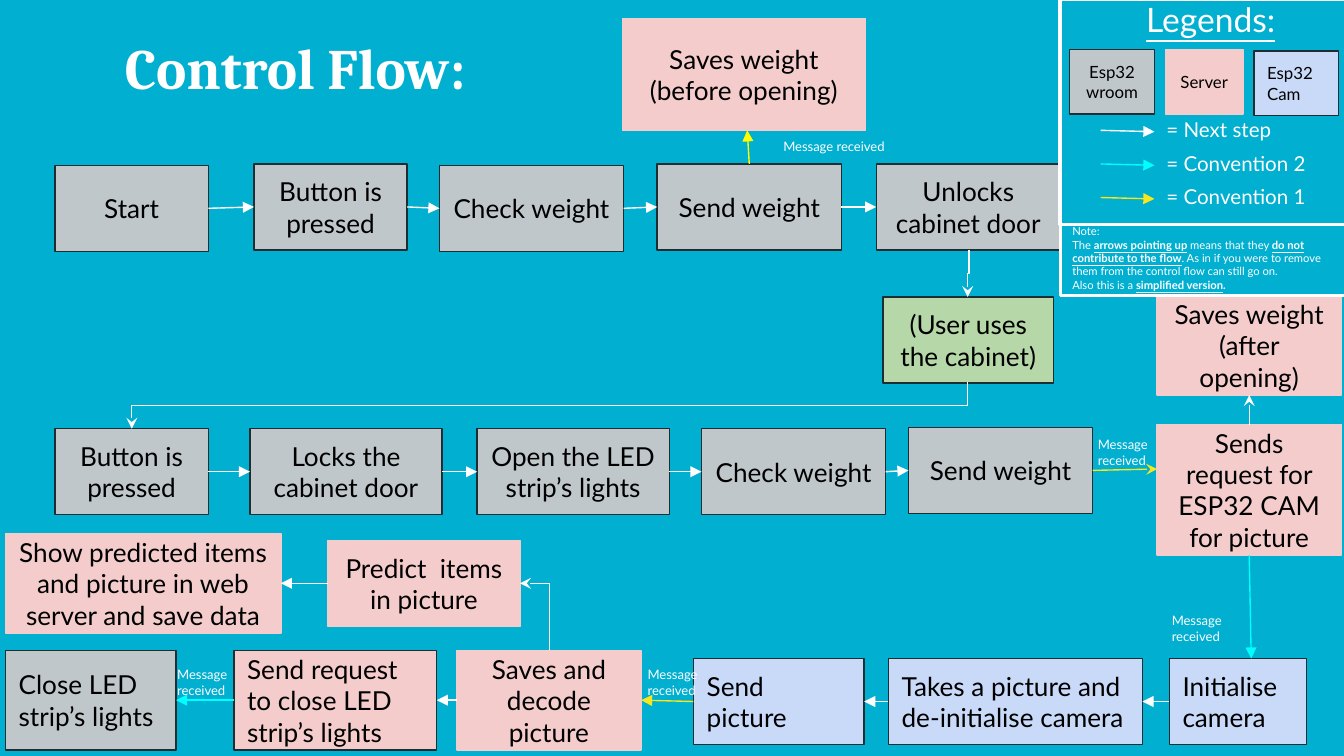
from lxml import etree
from pptx import Presentation
from pptx.dml.color import RGBColor
from pptx.enum.shapes import MSO_CONNECTOR, MSO_SHAPE
from pptx.enum.text import MSO_ANCHOR, MSO_AUTO_SIZE, PP_ALIGN
from pptx.oxml.ns import qn
from pptx.util import Inches, Pt

WHITE, BLACK, DARK = "FFFFFF", "000000", "1E2D31"
GREY, PINK, BLUE, GREEN = "BFC7CA", "F4CCCC", "C9DAF8", "B6D7A8"
YELLOW, GOLD, CYAN = "FFFF00", "F8E71C", "00FFFF"
color = RGBColor.from_string


def style_text(shape, size, ink, font="Lato"):
    frame = shape.text_frame
    frame.word_wrap = True
    frame.margin_left = frame.margin_right = Inches(0.1)
    frame.margin_top = frame.margin_bottom = Inches(0.1)
    for para in frame.paragraphs:
        for span in para.runs:
            span.font.name = font
            span.font.size = Pt(size)
            span.font.color.rgb = color(ink)


def style_arrow(arrow, ink, head="triangle"):
    arrow.line.color.rgb = color(ink)
    arrow.line.width = Pt(0.75)
    properties = arrow._element.spPr
    etree.SubElement(properties.get_or_add_ln(), qn("a:tailEnd"), type=head)
    etree.SubElement(properties, qn("a:effectLst"))


deck = Presentation()
deck.slide_width = Inches(10)
deck.slide_height = Inches(10) * 9 // 16
page = deck.slides.add_slide(deck.slide_layouts[5])
page.background.fill.solid()
page.background.fill.fore_color.rgb = color("01AFD1")
shapes = page.shapes

title = shapes.title
title.left, title.top = Inches(0.83), Inches(0.14)
title.width, title.height = Inches(8.61), Inches(0.7)
title.text_frame.text = "Control Flow:"
style_text(title, 30.6, WHITE, "Cambria")
title.text_frame.auto_size = MSO_AUTO_SIZE.NONE
title.text_frame.vertical_anchor = MSO_ANCHOR.TOP
title.text_frame.paragraphs[0].alignment = PP_ALIGN.LEFT
title.text_frame.paragraphs[0].runs[0].font.bold = True

# Steps: name, text, left, top, width, height, fill, outline, alignment, text size
C, L = PP_ALIGN.CENTER, PP_ALIGN.LEFT
steps = [
    ("start", "Start", 0.41, 1.23, 1.14, 0.64, GREY, DARK, C, 14),
    ("press", "Button is pressed", 1.89, 1.22, 1.14, 0.64, GREY, DARK, C, 14),
    ("check", "Check weight", 3.27, 1.23, 1.37, 0.64, GREY, DARK, C, 14),
    ("send", "Send weight", 4.89, 1.22, 1.37, 0.64, GREY, DARK, C, 14),
    ("unlock", "Unlocks cabinet door", 6.52, 1.22, 1.37, 0.64, GREY, DARK, C, 14),
    ("save before", "Saves weight\v(before opening)", 4.63, 0.14, 1.81, 0.83, PINK, PINK, C, 14),
    ("use", "(User uses the cabinet)", 6.57, 2.21, 1.27, 0.64, GREEN, DARK, C, 14),
    ("press again", "Button is pressed", 0.41, 3.19, 1.14, 0.64, GREY, DARK, C, 14),
    ("lock", "Locks the cabinet door", 1.86, 3.19, 1.43, 0.64, GREY, DARK, C, 14),
    ("lights on", "Open the LED strip’s lights", 3.55, 3.19, 1.43, 0.64, GREY, DARK, C, 14),
    ("check again", "Check weight", 5.22, 3.19, 1.37, 0.64, GREY, DARK, C, 14),
    ("send again", "Send weight", 6.76, 3.18, 1.37, 0.64, GREY, DARK, C, 14),
    ("save after", "Saves weight\v(after opening)", 8.61, 2.2, 1.37, 0.74, PINK, PINK, C, 14),
    ("request", "Sends request for ESP32 CAM for picture", 8.61, 3.16, 1.37, 0.97, PINK, PINK, C, 14),
    ("initialise", "Initialise camera", 8.7, 4.9, 1.02, 0.64, BLUE, DARK, L, 14),
    ("shoot", "Takes a picture and de-initialise camera", 6.61, 4.9, 1.89, 0.64, BLUE, DARK, L, 14),
    ("send picture", "Send picture", 5.16, 4.9, 1.27, 0.64, BLUE, DARK, L, 14),
    ("decode", "Saves and decode picture", 3.4, 4.84, 1.37, 0.74, PINK, PINK, C, 14),
    ("request off", "Send request to close LED strip’s lights", 1.74, 4.84, 1.51, 0.74, PINK, DARK, L, 14),
    ("lights off", "Close LED strip’s lights", 0.04, 4.84, 1.27, 0.74, GREY, DARK, L, 14),
    ("predict", "Predict  items in picture", 2.44, 4.02, 1.43, 0.64, PINK, PINK, C, 14),
    ("show", "Show predicted items and picture in web server and save data",
     0.04, 3.97, 2.05, 0.74, PINK, PINK, C, 14),
    ("wroom key", "Esp32 wroom", 7.96, 0.37, 0.63, 0.48, GREY, DARK, C, 9),
    ("server key", "Server", 8.67, 0.37, 0.58, 0.48, PINK, PINK, C, 9),
    ("cam key", "Esp32 Cam", 9.33, 0.38, 0.63, 0.48, BLUE, DARK, L, 9),
]
boxes = {}
for name, text, left, top, width, height, fill, outline, align, size in steps:
    box = shapes.add_shape(MSO_SHAPE.RECTANGLE, Inches(left), Inches(top), Inches(width), Inches(height))
    box.shadow.inherit = False
    box.fill.solid()
    box.fill.fore_color.rgb = color(fill)
    box.line.color.rgb = color(outline)
    box.line.width = Pt(0.75)
    para = box.text_frame.paragraphs[0]
    para.text = text
    para.alignment = align
    box.text_frame.vertical_anchor = MSO_ANCHOR.MIDDLE
    style_text(box, size, BLACK)
    boxes[name] = box

# Straight arrows between steps, with the side each one leaves and enters
TOP, LEFT, BOTTOM, RIGHT = range(4)
links = [
    ("request", TOP, "save after", BOTTOM, WHITE, "stealth"),
    ("send picture", LEFT, "decode", RIGHT, GOLD, "triangle"),
    ("request off", LEFT, "lights off", RIGHT, CYAN, "triangle"),
]
rightward = [
    ["start", "press", "check", "send", "unlock"],
    ["press again", "lock", "lights on", "check again", "send again"],
]
leftward = [["initialise", "shoot", "send picture"], ["decode", "request off"], ["predict", "show"]]
for chains, leave, enter in ((rightward, RIGHT, LEFT), (leftward, LEFT, RIGHT)):
    for chain in chains:
        for source, target in zip(chain, chain[1:]):
            links.append((source, leave, target, enter, WHITE, "triangle"))
for source, leave, target, enter, ink, head in links:
    arrow = shapes.add_connector(MSO_CONNECTOR.STRAIGHT, 0, 0, 0, 0)
    arrow.begin_connect(boxes[source], leave)
    arrow.end_connect(boxes[target], enter)
    style_arrow(arrow, ink, head)

# Arrows that end away from the middle of a side
for source, leave, x1, y1, x2, y2, ink, head in [
    ("send", TOP, 5.58, 1.22, 5.56, 0.97, YELLOW, "triangle"),
    ("send again", RIGHT, 8.13, 3.5, 8.61, 3.49, GOLD, "stealth"),
    ("request", BOTTOM, 9.29, 4.13, 9.31, 4.9, CYAN, "triangle"),
]:
    arrow = shapes.add_connector(MSO_CONNECTOR.STRAIGHT, Inches(x1), Inches(y1), Inches(x2), Inches(y2))
    arrow.begin_connect(boxes[source], leave)
    style_arrow(arrow, ink, head)

# Elbows leave vertically, so each is laid out sideways and turned by 90 degrees
for x1, y1, x2, y2, preset in [
    (7.21, 1.86, 7.2, 2.21, "bentConnector3"),
    (7.2, 2.84, 0.98, 3.19, "bentConnector3"),
    (4.09, 4.84, 3.87, 4.34, "bentConnector2"),
]:
    mid_x, mid_y = (x1 + x2) / 2, (y1 + y2) / 2
    half_x, half_y = (x2 - x1) / 2, (y2 - y1) / 2
    elbow = shapes.add_connector(
        MSO_CONNECTOR.ELBOW, Inches(mid_x - half_y), Inches(mid_y + half_x),
        Inches(mid_x + half_y), Inches(mid_y - half_x))
    elbow._element.spPr.find(qn("a:xfrm")).set("rot", "5400000")
    elbow._element.spPr.find(qn("a:prstGeom")).set("prst", preset)
    style_arrow(elbow, WHITE, "stealth")

for left, height in [(7.89, 2.2), (7.88, 1.67)]:
    border = shapes.add_shape(MSO_SHAPE.RECTANGLE, Inches(left), 0, Inches(2.16), Inches(height))
    border.shadow.inherit = False
    border.fill.background()
    border.line.color.rgb = color(WHITE)
    border.line.width = Pt(1.5)

labels = [("Legends:", 8.43, -0.11, 1.79, 0.5, 18)]
for left, top, width, height in [
    (5.73, 0.97, 1.02, 0.32), (8.07, 3.15, 0.85, 0.44), (8.62, 4.46, 0.85, 0.44),
    (4.72, 4.86, 0.85, 0.44), (1.22, 4.86, 0.85, 0.44),
]:
    labels.append(("Message received", left, top, width, height, 7))
for row, (text, ink) in enumerate([("Next step", WHITE), ("Convention 2", CYAN), ("Convention 1", GOLD)]):
    y = 0.97 + 0.25 * row
    key = shapes.add_connector(MSO_CONNECTOR.STRAIGHT, Inches(8.19), Inches(y), Inches(8.59), Inches(y + 0.01))
    style_arrow(key, ink)
    labels.append((f"= {text}", 8.58, y - 0.19, 1.24, 0.39, 11))
for text, left, top, width, height, size in labels:
    label = shapes.add_textbox(Inches(left), Inches(top), Inches(width), Inches(height))
    label.text_frame.text = text
    style_text(label, size, WHITE)
    label.text_frame.auto_size = MSO_AUTO_SIZE.SHAPE_TO_FIT_TEXT
    label.text_frame.paragraphs[0].runs[0].font.underline = text == "Legends:"

note = shapes.add_textbox(Inches(7.88), Inches(1.57), Inches(2.05), Inches(0.71))
first = note.text_frame.paragraphs[0]
first.text = "Note: \vThe "
second = note.text_frame.add_paragraph()
for para, text, bold, underline in [
    (first, "arrows pointing up", True, True),
    (first, " means that they ", False, False),
    (first, "do not contribute to the flow", True, True),
    (first, ". As in if you were to remove them from the control flow can still go on.", False, False),
    (second, "Also this is a ", False, False),
    (second, "simplified version", True, True),
    (second, ".", True, False),
]:
    span = para.add_run()
    span.text = text
    span.font.bold = bold
    span.font.underline = underline
style_text(note, 6, WHITE)
note.text_frame.auto_size = MSO_AUTO_SIZE.SHAPE_TO_FIT_TEXT

deck.save("out.pptx")
